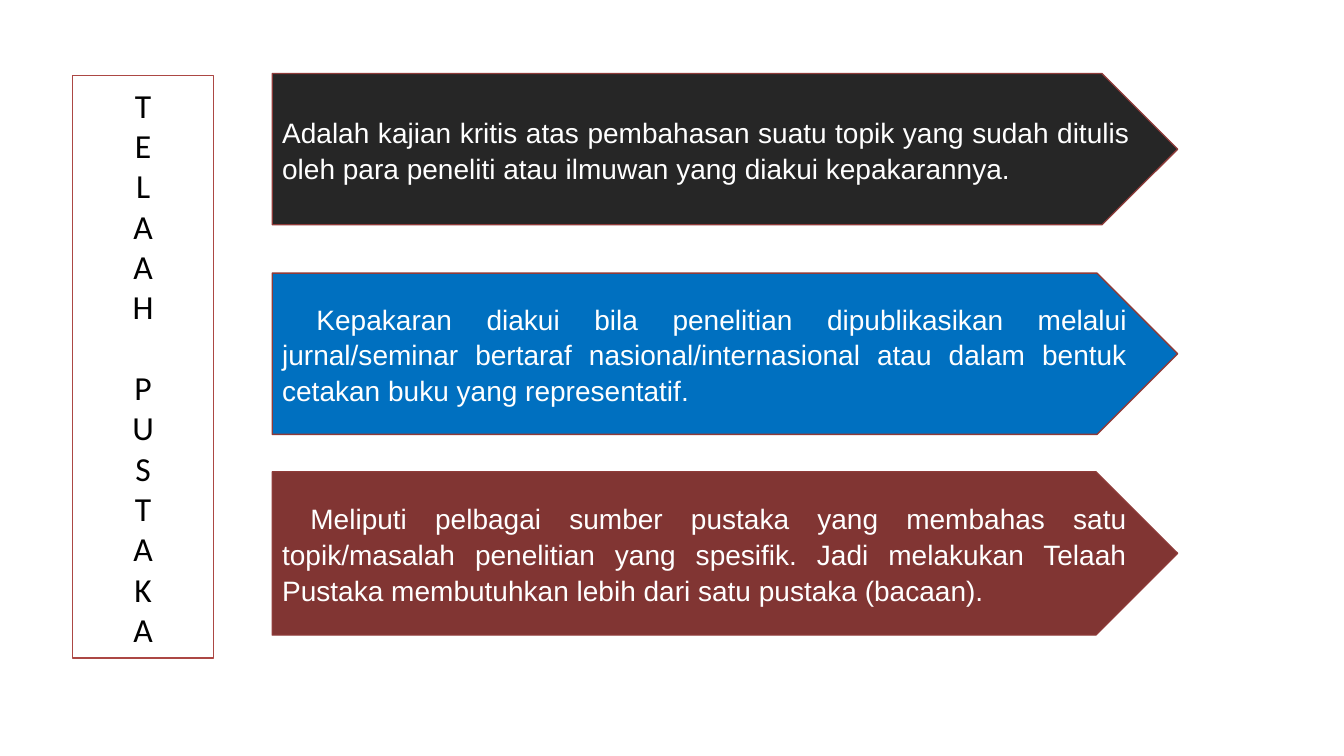
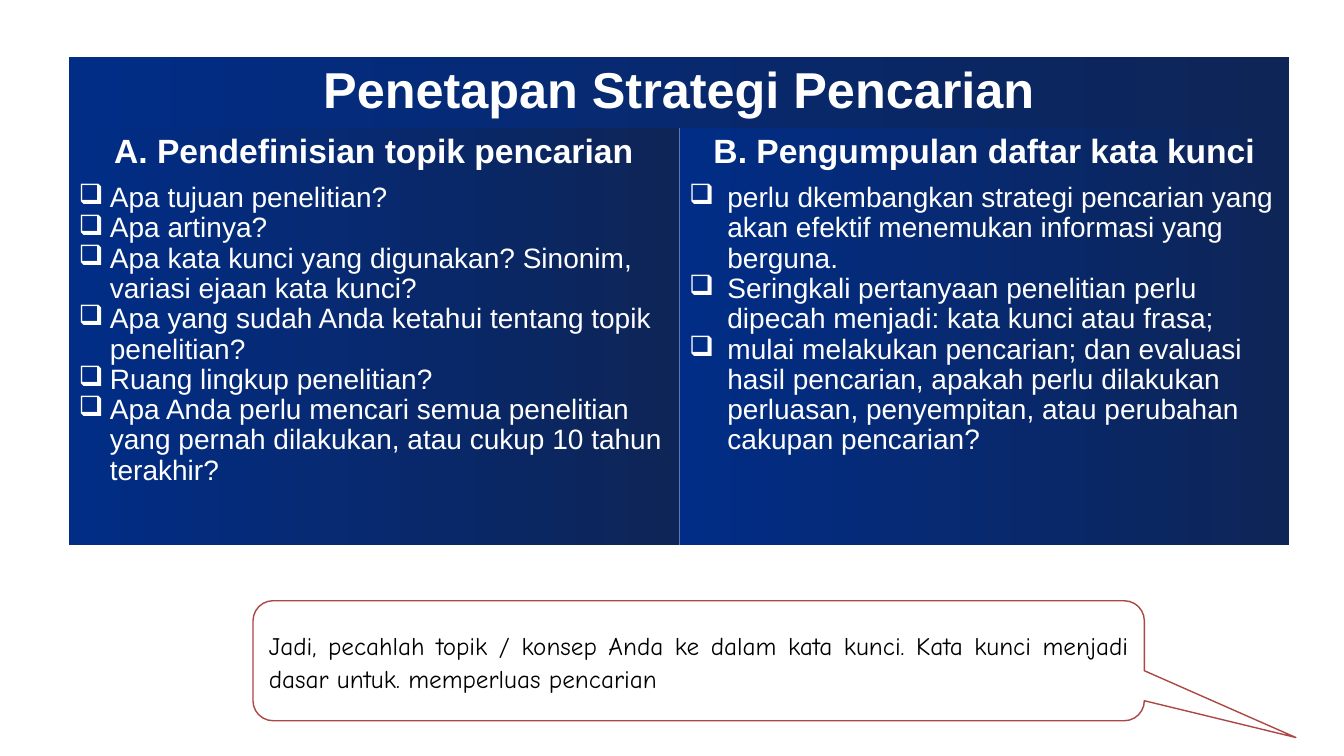
"""Build two slides on literature review and search strategy."""
from lxml import etree
from pptx import Presentation, util as u
from pptx.dml.color import RGBColor
from pptx.enum import shapes, text
from pptx.oxml.ns import qn

C = {"white": "FFFFFF", "black": "000000", "dark": "262626", "blue": "0070C0",
     "maroon": "813533", "edge": "8E3B39", "red": "AC4744",
     "navy": "012D86", "night": "0E2557", "divider": "5C7BB5"}
ALIGN = text.PP_ALIGN


def add_text(p, words, size, font, color, align=ALIGN.LEFT, bold=False, spacing=1.0):
    p.alignment = align
    p.line_spacing = spacing
    r = p.add_run()
    r.text = words
    r.font.size = u.Pt(size)
    r.font.name = font
    r.font.bold = bold
    r.font.color.rgb = RGBColor.from_string(C[color])


def style_box(sp, fill, line):
    sp.fill.solid()
    sp.fill.fore_color.rgb = RGBColor.from_string(C[fill])
    sp.line.color.rgb = RGBColor.from_string(C[line])
    sp.line.width = u.Pt(1)
    sp.shadow.inherit = False
    tf = sp.text_frame
    tf.word_wrap = True
    tf.auto_size = text.MSO_AUTO_SIZE.NONE
    tf.vertical_anchor = text.MSO_ANCHOR.MIDDLE
    return tf


prs = Presentation()
prs.slide_width, prs.slide_height = u.Inches(13.33), u.Inches(7.5)
TITLE_ONLY, BLANK = prs.slide_layouts[5], prs.slide_layouts[6]

s = prs.slides.add_slide(TITLE_ONLY)
title = s.shapes.title
title.left, title.top = u.Inches(0.72), u.Inches(0.75)
title.width, title.height = u.Inches(1.4), u.Inches(5.78)
tf = style_box(title, "white", "red")
p = tf.paragraphs[0]
for w, word in enumerate(["TELAAH", "PUSTAKA"]):
    for i, letter in enumerate(word):
        if w or i:
            p = tf.add_paragraph()
        if w and i == 0:
            p.space_before = u.Pt(29)
        add_text(p, letter, 24, "Calibri", "black", ALIGN.CENTER)

arrows = [
    (0.73, 1.5, "dark", 0, "Adalah kajian kritis atas pembahasan suatu topik yang sudah "
     "ditulis oleh para peneliti atau ilmuwan yang diakui kepakarannya."),
    (2.71, 1.6, "blue", 0.34, "Kepakaran diakui bila penelitian dipublikasikan melalui "
     "jurnal/seminar bertaraf nasional/internasional atau dalam bentuk cetakan buku yang "
     "representatif."),
    (4.68, 1.62, "maroon", 0.28, "Meliputi pelbagai sumber pustaka yang membahas satu "
     "topik/masalah penelitian yang spesifik. Jadi melakukan Telaah Pustaka membutuhkan "
     "lebih dari satu pustaka (bacaan)."),
]
for top, height, fill, indent, words in arrows:
    sp = s.shapes.add_shape(shapes.MSO_SHAPE.PENTAGON, u.Inches(2.7), u.Inches(top),
                            u.Inches(8.98), u.Inches(height))
    p = style_box(sp, fill, "edge").paragraphs[0]
    add_text(p, words, 20, "Arial", "white", ALIGN.JUSTIFY, spacing=1.06)
    p._p.get_or_add_pPr().set("indent", str(u.Inches(indent)))

s = prs.slides.add_slide(BLANK)
frame = s.shapes.add_table(3, 2, u.Inches(0.68), u.Inches(0.57), u.Inches(12.11), u.Inches(4.84))
tbl = frame.table
tbl.first_row = tbl.horz_banding = False
NO_GRID = "{2D5ABB26-0587-4C30-8999-92F81FD0307C}"
tbl._tbl.tblPr.find(qn("a:tableStyleId")).text = NO_GRID
for row, height in zip(tbl.rows, [0.7, 0.5, 3.64]):
    row.height = u.Inches(height)
for cell in tbl.iter_cells():
    cell.fill.gradient()
    cell.fill.gradient_angle = 0
    for stop, color, position in zip(cell.fill.gradient_stops, ["navy", "night"], [0, 1]):
        stop.color.rgb = RGBColor.from_string(C[color])
        stop.position = position

tbl.cell(0, 0).merge(tbl.cell(0, 1))
add_text(tbl.cell(0, 0).text_frame.paragraphs[0], "Penetapan Strategi Pencarian",
         36, "Arial", "white", ALIGN.CENTER, bold=True)

columns = [
    ("A. Pendefinisian topik pencarian", 0.31, [
        "Apa tujuan penelitian?",
        "Apa artinya?",
        "Apa kata kunci yang digunakan? Sinonim, variasi ejaan kata kunci?",
        "Apa yang sudah Anda ketahui tentang topik penelitian?",
        "Ruang lingkup penelitian?",
        "Apa Anda perlu mencari semua penelitian yang pernah dilakukan, atau cukup "
        "10 tahun terakhir?"]),
    ("B. Pengumpulan daftar kata kunci", 0.38, [
        "perlu dkembangkan strategi pencarian yang akan efektif menemukan informasi "
        "yang berguna.",
        "Seringkali pertanyaan penelitian perlu dipecah menjadi: kata kunci atau frasa;",
        "mulai melakukan pencarian; dan evaluasi hasil pencarian, apakah perlu dilakukan "
        "perluasan, penyempitan, atau perubahan cakupan pencarian?"]),
]
for col, (heading, indent, items) in enumerate(columns):
    add_text(tbl.cell(1, col).text_frame.paragraphs[0], heading,
             24, "Arial", "white", ALIGN.CENTER, bold=True)
    tf = tbl.cell(2, col).text_frame
    for i, item in enumerate(items):
        p = tf.add_paragraph() if i else tf.paragraphs[0]
        add_text(p, item, 20, "Arial", "white", spacing=0.97)
        pPr = p._p.get_or_add_pPr()
        pPr.set("marL", str(u.Inches(indent)))
        pPr.set("indent", str(-u.Inches(indent)))
        etree.SubElement(pPr, qn("a:buChar")).set("char", "❑")

for row in (1, 2):
    ln = etree.Element(qn("a:lnR"), w=str(u.Pt(0.5)))
    fill = etree.SubElement(ln, qn("a:solidFill"))
    etree.SubElement(fill, qn("a:srgbClr")).set("val", C["divider"])
    tbl.cell(row, 0)._tc.get_or_add_tcPr().insert(0, ln)

sp = s.shapes.add_shape(shapes.MSO_SHAPE.ROUNDED_RECTANGULAR_CALLOUT, u.Inches(2.51),
                        u.Inches(5.96), u.Inches(8.84), u.Inches(1.19))
sp.adjustments[0], sp.adjustments[1] = 0.67, 0.64
p = style_box(sp, "white", "red").paragraphs[0]
add_text(p, "Jadi, pecahlah topik / konsep Anda ke dalam kata kunci. Kata kunci menjadi dasar "
         "untuk. memperluas pencarian", 18, "Comic Neue", "black", ALIGN.JUSTIFY, spacing=1.07)

prs.save("out.pptx")
